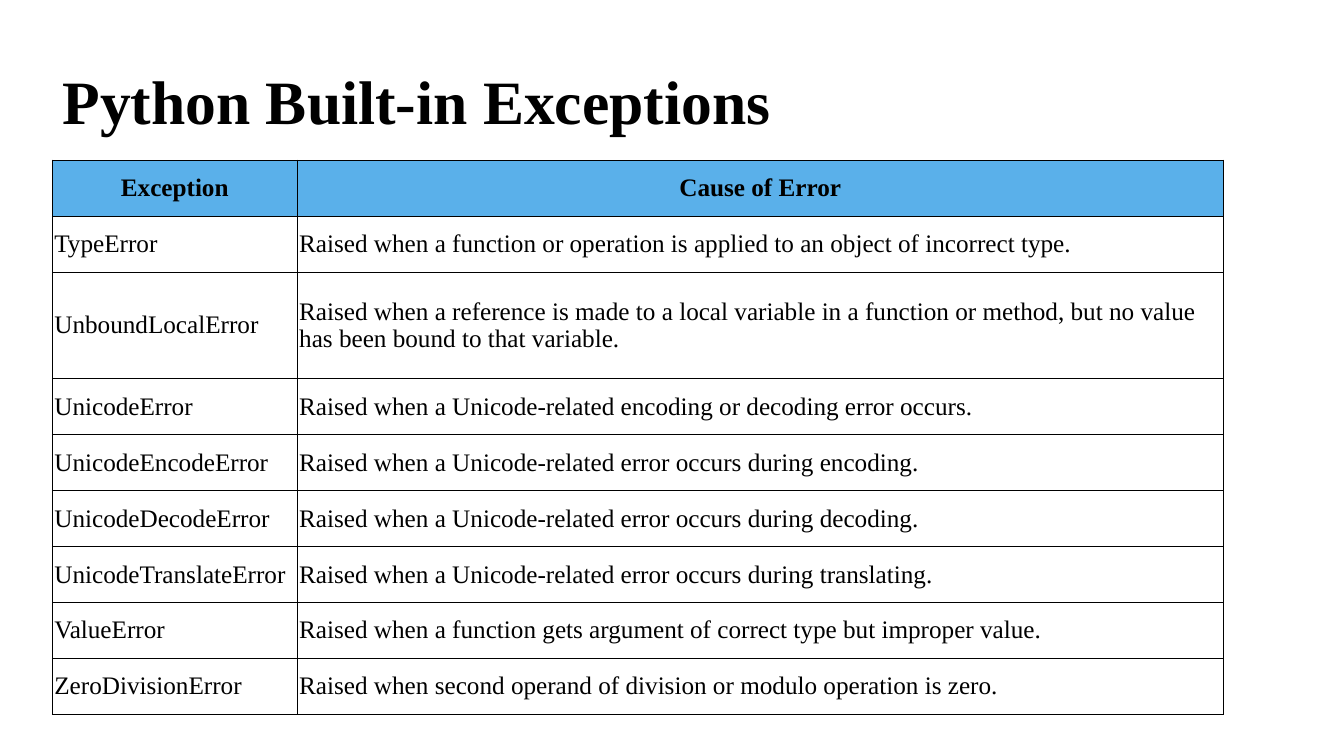
import lxml.etree
import pptx
import pptx.dml.color
import pptx.enum.text
import pptx.oxml.ns
import pptx.util
from pptx.util import Cm

BLACK = pptx.dml.color.RGBColor(0x00, 0x00, 0x00)
HEADER_BLUE = pptx.dml.color.RGBColor(0x5A, 0xB0, 0xEA)
FONT_NAME = "Times New Roman"
MIDDLE = pptx.enum.text.MSO_ANCHOR.MIDDLE
LEFT = pptx.enum.text.PP_ALIGN.LEFT
CENTER = pptx.enum.text.PP_ALIGN.CENTER

HEADERS = ("Exception", "Cause of Error")
EXCEPTIONS = [
    ("TypeError", "Raised when a function or operation is applied to an object of incorrect type."),
    ("UnboundLocalError", "Raised when a reference is made to a local variable in a function or method, "
                          "but no value has been bound to that variable."),
    ("UnicodeError", "Raised when a Unicode-related encoding or decoding error occurs."),
    ("UnicodeEncodeError", "Raised when a Unicode-related error occurs during encoding."),
    ("UnicodeDecodeError", "Raised when a Unicode-related error occurs during decoding."),
    ("UnicodeTranslateError", "Raised when a Unicode-related error occurs during translating."),
    ("ValueError", "Raised when a function gets argument of correct type but improper value."),
    ("ZeroDivisionError", "Raised when second operand of division or modulo operation is zero."),
]
COLUMN_WIDTHS = (Cm(6.17), Cm(23.34))
ROW_HEIGHT = Cm(1.41)
TALL_ROW_HEIGHT = Cm(2.68)
TALL_ROW = 2


def format_paragraph(para, size, bold, alignment):
    para.alignment = alignment
    para.font.name = FONT_NAME
    para.font.size = pptx.util.Pt(size)
    para.font.bold = bold
    para.font.color.rgb = BLACK


def set_title(page, text):
    title = page.shapes.title
    title.left, title.top, title.width, title.height = Cm(1.32), Cm(0.79), Cm(29.21), Cm(3.68)
    frame = title.text_frame
    frame.text = text
    frame.word_wrap = True
    frame.auto_size = pptx.enum.text.MSO_AUTO_SIZE.NONE
    frame.vertical_anchor = MIDDLE
    para = frame.paragraphs[0]
    para.line_spacing = 0.9
    format_paragraph(para, 44, True, LEFT)


def add_borders(cell):
    qn = pptx.oxml.ns.qn
    properties = cell._tc.get_or_add_tcPr()
    for position, side in enumerate(("lnL", "lnR", "lnT", "lnB")):
        line = lxml.etree.Element(qn("a:" + side), w=str(pptx.util.Pt(1)))
        fill = lxml.etree.SubElement(line, qn("a:solidFill"))
        lxml.etree.SubElement(fill, qn("a:srgbClr"), val=str(BLACK))
        properties.insert(position, line)


def fill_cell(cell, text, is_header):
    cell.text = text
    cell.vertical_anchor = MIDDLE
    cell.margin_left = cell.margin_right = Cm(0.05)
    cell.margin_top = cell.margin_bottom = Cm(0.08 if is_header else 0.05)
    if is_header:
        cell.fill.solid()
        cell.fill.fore_color.rgb = HEADER_BLUE
    else:
        cell.fill.background()
    add_borders(cell)
    format_paragraph(cell.text_frame.paragraphs[0], 18, is_header, CENTER if is_header else LEFT)


def add_exception_table(page):
    rows = [HEADERS] + EXCEPTIONS
    height = ROW_HEIGHT * (len(rows) - 1) + TALL_ROW_HEIGHT
    frame = page.shapes.add_table(len(rows), len(HEADERS), Cm(1.32), Cm(4.04), sum(COLUMN_WIDTHS), height)
    table = frame.table
    table.horz_banding = False
    for column, width in zip(table.columns, COLUMN_WIDTHS):
        column.width = width
    for row_index, texts in enumerate(rows):
        table.rows[row_index].height = TALL_ROW_HEIGHT if row_index == TALL_ROW else ROW_HEIGHT
        for column_index, text in enumerate(texts):
            fill_cell(table.cell(row_index, column_index), text, row_index == 0)


def main():
    deck = pptx.Presentation()
    deck.slide_width, deck.slide_height = Cm(33.87), Cm(19.05)
    page = deck.slides.add_slide(deck.slide_layouts[5])
    set_title(page, "Python Built-in Exceptions")
    add_exception_table(page)
    deck.save("out.pptx")


if __name__ == "__main__":
    main()
